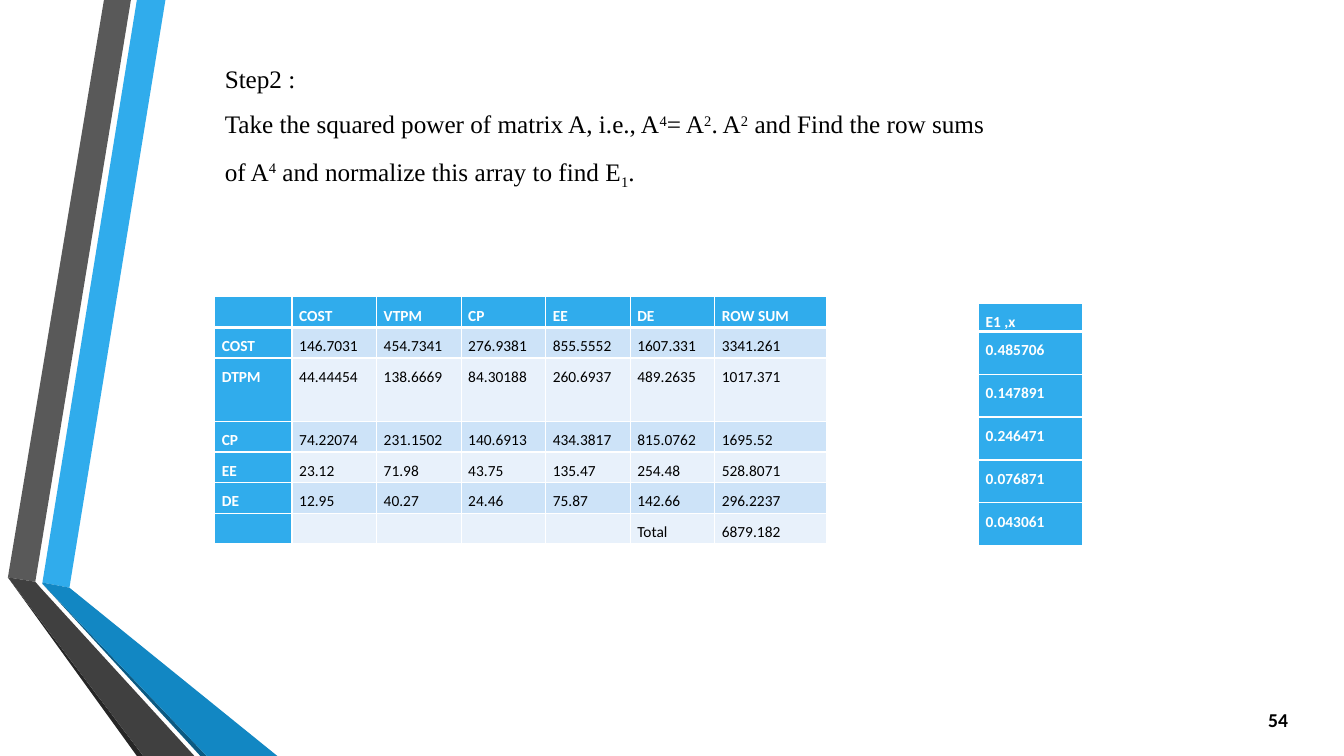
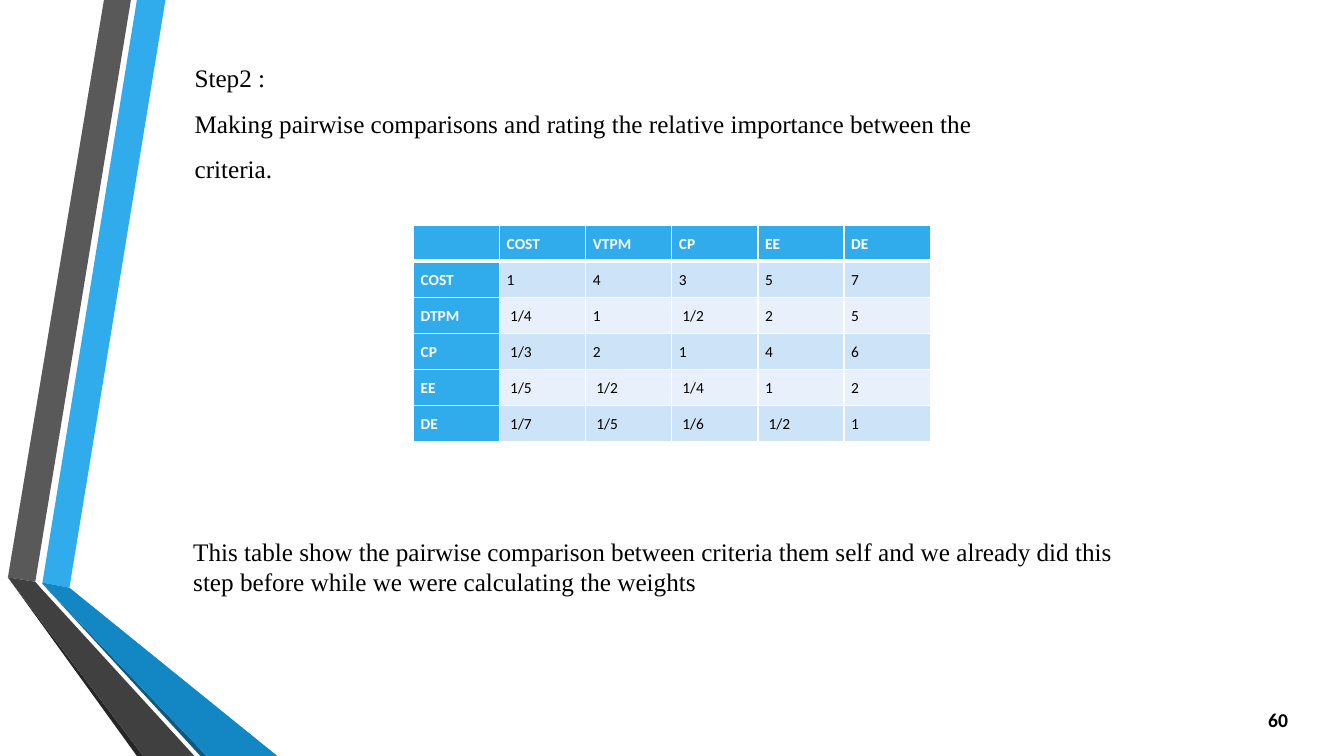
from lxml.etree import SubElement
from pptx import Presentation
from pptx.dml.color import RGBColor
from pptx.enum.text import MSO_ANCHOR, MSO_AUTO_SIZE, PP_ALIGN
from pptx.oxml.ns import qn
from pptx.util import Cm, Pt

BLUE = RGBColor(0x30, 0xAC, 0xEC)
MID_BLUE = RGBColor(0x12, 0x87, 0xC3)
DEEP_BLUE = RGBColor(0x0C, 0x5A, 0x82)
GREY = RGBColor(0x59, 0x59, 0x59)
DARK_GREY = RGBColor(0x40, 0x40, 0x40)
SOOT = RGBColor(0x26, 0x26, 0x26)
ODD_ROW = RGBColor(0xCD, 0xE3, 0xF8)
EVEN_ROW = RGBColor(0xE8, 0xF1, 0xFB)
BLACK = RGBColor(0, 0, 0)
WHITE = RGBColor(0xFF, 0xFF, 0xFF)

SERIF, SANS = "Times New Roman", "Calibri"
BASELINES = {"^": "30000", "_": "-25000"}


def write(frame, text, font=SERIF, size=18, color=BLACK, bold=False,
          align=PP_ALIGN.LEFT, spacing=1.0):
    """Fill a frame, one paragraph a line; |^x| is raised and |_x| lowered."""
    for number, line in enumerate(text.split("\n")):
        paragraph = frame.add_paragraph() if number else frame.paragraphs[0]
        paragraph.alignment = align
        paragraph.line_spacing = spacing
        for piece in filter(None, line.split("|")):
            baseline = BASELINES.get(piece[0])
            run = paragraph.add_run()
            run.text = piece[1:] if baseline else piece
            run.font.name = font
            run.font.size = Pt(size)
            run.font.bold = bold
            run.font.color.rgb = color
            if baseline:
                run._r.get_or_add_rPr().set("baseline", baseline)
        if not line:
            SubElement(paragraph._p, qn("a:endParaRPr"), sz=str(size * 100))


def draw_table(slide, left, top, widths, heights, rows):
    """Draw a white-ruled table with a blue first row and first column."""
    table = slide.shapes.add_table(
        len(rows), len(widths), Cm(left), Cm(top),
        Cm(sum(widths)), Cm(sum(heights))).table
    table.first_col = True
    table.horz_banding = False
    for column, width in zip(table.columns, widths):
        column.width = Cm(width)
    for r, (values, height) in enumerate(zip(rows, heights)):
        table.rows[r].height = Cm(height)
        for c, value in enumerate(values):
            cell = table.cell(r, c)
            cell.margin_left = cell.margin_right = Cm(0.18)
            cell.margin_top = cell.margin_bottom = 0
            # The rule below the heading row is thicker
            for side in "LRTB":
                thick = (r, side) in ((0, "B"), (1, "T"))
                rule = SubElement(cell._tc.get_or_add_tcPr(), qn("a:ln" + side),
                                  w=str(Pt(3 if thick else 1)))
                fill = SubElement(rule, qn("a:solidFill"))
                SubElement(fill, qn("a:srgbClr"), val=str(WHITE))
            heading = r == 0 or c == 0
            cell.fill.solid()
            cell.fill.fore_color.rgb = (
                BLUE if heading else ODD_ROW if r % 2 else EVEN_ROW)
            write(cell.text_frame, value, font=SANS, size=11, bold=heading,
                  color=WHITE if heading else BLACK, spacing=1.5)


presentation = Presentation()
presentation.slide_width = Cm(33.87)
presentation.slide_height = Cm(19.05)
layout = presentation.slide_layouts[5]

# Each slide: page number, step text and its place (left, top, width)
steps = [
    ("54", "Step2 :\nTake the squared power of matrix A, i.e., A|^4|= A|^2|. A|^2"
           "| and Find the row sums of A|^4| and normalize this array to find E|_1|.",
     (5.41, 1.09, 19.86)),
    ("60", "Step2 :\nMaking pairwise comparisons and rating the relative "
           "importance between the criteria.",
     (4.65, 1.07, 21.21)),
]
slides = []
for page, step, (left, top, width) in steps:
    slide = presentation.slides.add_slide(layout)
    slides.append(slide)

    heading = slide.shapes.title
    heading.left, heading.top = Cm(left), Cm(top)
    heading.width, heading.height = Cm(width), Cm(3.58)
    heading.text_frame.vertical_anchor = MSO_ANCHOR.TOP
    heading.text_frame.word_wrap = True
    heading.text_frame.auto_size = MSO_AUTO_SIZE.SHAPE_TO_FIT_TEXT
    write(heading.text_frame, step, spacing=1.5)

    page_number = slide.shapes.add_textbox(Cm(31.19), Cm(17.63), Cm(1.52), Cm(1.02))
    page_number.text_frame.word_wrap = True
    page_number.text_frame.vertical_anchor = MSO_ANCHOR.MIDDLE
    write(page_number.text_frame, page, font=SANS, size=14, bold=True,
          align=PP_ALIGN.RIGHT)
matrix_slide, criteria_slide = slides

# Folded ribbons at the left, moved to the layout that both slides share
ribbons = [
    (BLUE, [(1.07, 14.68), (1.75, 14.81), (4.17, 0), (3.45, 0)]),
    (GREY, [(3.3, 0), (2.62, 0), (0.2, 14.55), (0.89, 14.66)]),
    (SOOT, [(0.2, 14.55), (3.45, 19.05), (3.61, 19.05)]),
    (DEEP_BLUE, [(1.07, 14.71), (5.05, 19.05), (5.21, 19.05)]),
    (MID_BLUE, [(1.07, 14.71), (5.21, 19.05), (6.99, 19.05), (1.75, 14.81),
                (1.07, 14.68)]),
    (DARK_GREY, [(4.9, 19.05), (1.02, 14.81), (0.89, 14.66), (0.2, 14.55),
                 (3.61, 19.05)]),
]
for color, corners in ribbons:
    start, *others = [(Cm(x), Cm(y)) for x, y in corners]
    outline = matrix_slide.shapes.build_freeform(*start)
    outline.add_line_segments(others, close=True)
    ribbon = outline.convert_to_shape()
    ribbon.fill.solid()
    ribbon.fill.fore_color.rgb = color
    ribbon.line.fill.background()
    ribbon.shadow.inherit = False
    layout.shapes.element.append(ribbon.element)

# Squared matrix with its row sums
draw_table(
    matrix_slide, 5.41, 7.48, [1.95] + [2.13] * 5 + [2.83],
    [0.77, 0.77, 1.6] + [0.77] * 4,
    [
        ["", "COST", "VTPM", "CP", "EE", "DE", "ROW SUM"],
        ["COST", "146.7031", "454.7341", "276.9381", "855.5552", "1607.331", "3341.261"],
        ["DTPM", "44.44454", "138.6669", "84.30188", "260.6937", "489.2635", "1017.371"],
        ["CP", "74.22074", "231.1502", "140.6913", "434.3817", "815.0762", "1695.52"],
        ["EE", "23.12", "71.98", "43.75", "135.47", "254.48", "528.8071"],
        ["DE", "12.95", "40.27", "24.46", "75.87", "142.66", "296.2237"],
        ["", "", "", "", "", "Total", "6879.182"],
    ])

# Normalized array
draw_table(
    matrix_slide, 24.66, 7.65, [2.62], [0.62] + [1.08] * 5,
    [["E1 ,x"], ["0.485706"], ["0.147891"], ["0.246471"], ["0.076871"], ["0.043061"]])

# Pairwise comparison of the criteria
draw_table(
    criteria_slide, 10.42, 5.67, [2.17] * 6, [0.91] * 6,
    [
        ["", "COST", "VTPM", "CP", "EE", "DE"],
        ["COST", "1", "4", "3", "5", "7"],
        ["DTPM", " 1/4", "1", " 1/2", "2", "5"],
        ["CP", " 1/3", "2", "1", "4", "6"],
        ["EE", " 1/5", " 1/2", " 1/4", "1", "2"],
        ["DE", " 1/7", " 1/5", " 1/6", " 1/2", "1"],
    ])

# Remark below the comparison
remark = criteria_slide.shapes.add_textbox(Cm(4.62), Cm(13.39), Cm(24.64), Cm(1.8))
remark.text_frame.word_wrap = True
write(remark.text_frame,
      "This table show the pairwise comparison between criteria them self and we "
      "already did this step before while we were calculating the weights")

presentation.save("out.pptx")
